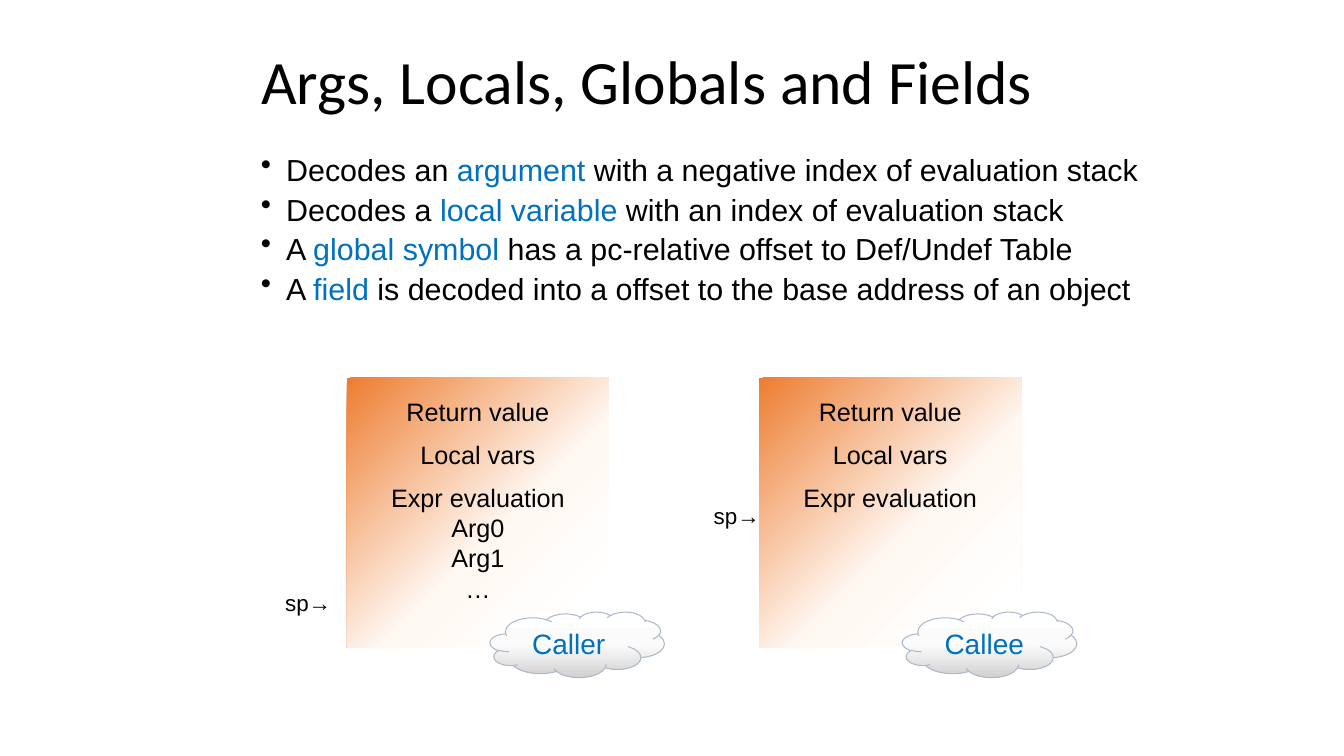
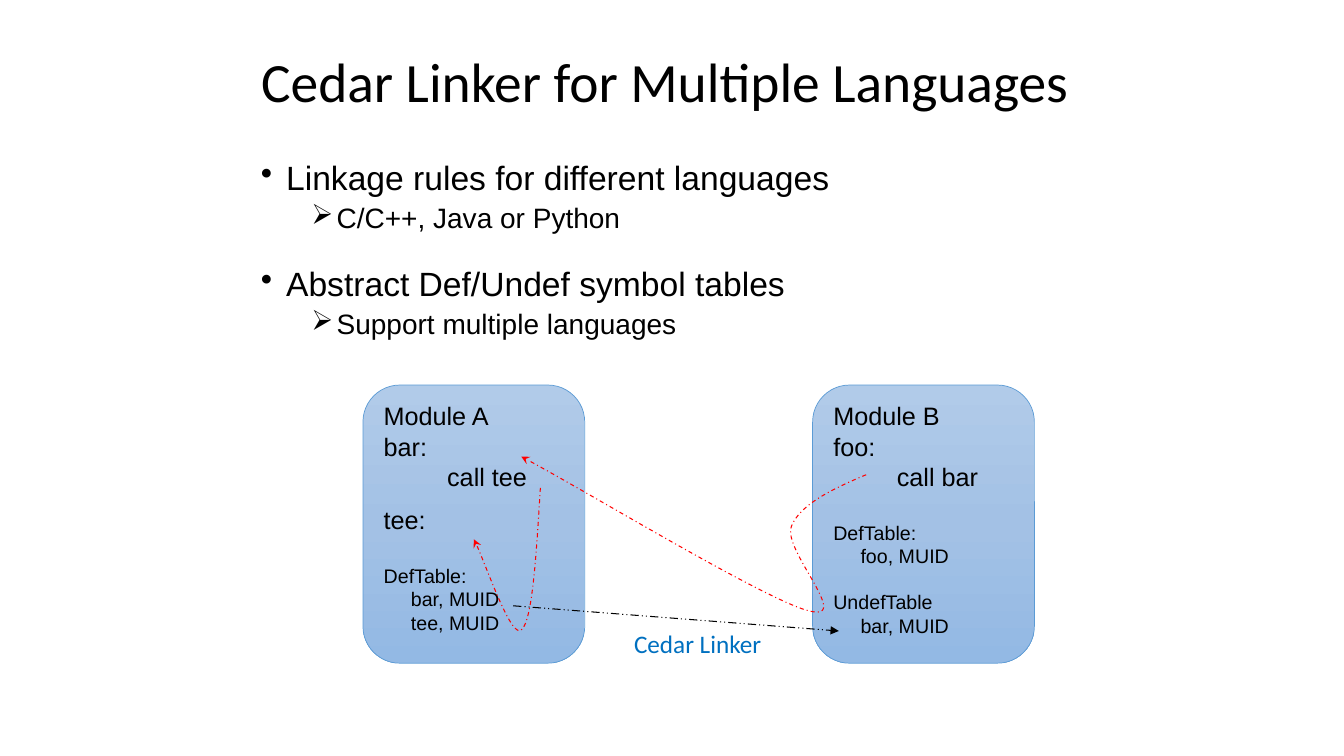
"""Build two slides on symbol decoding and linking across languages."""
import pptx
import pptx.util
import pptx.dml.color
import pptx.enum.dml
import pptx.enum.shapes
import pptx.enum.text
import pptx.oxml
import pptx.oxml.ns
from lxml import etree

HUES = {"ink": "000000", "blue": "0070C0", "red": "FF0000", "edge": "5B9BD5", "mist": "ADB9CA"}
FADES = {
    "stack": ([(0, "FFFFFF"), (11, "FFFFFF"), (43, "FFF8F2"), (100, "ED7D31")],
              '<a:path path="circle"><a:fillToRect l="100000" t="100000"/></a:path>'),
    "cloud": ([(0, "FFFFFF"), (50, "FBFBFB"), (100, "D1D1D1")], '<a:lin ang="5400000"/>'),
    "card": ([(0, "B1CBE9"), (50, "A3C1E5"), (100, "93B9E4")], '<a:lin ang="5400000"/>'),
}

DECODE = {
    "title": ("Args, Locals, Globals and Fields", 44),
    "rows": [
        "Decodes an *argument* with a negative index of evaluation stack",
        "Decodes a *local variable *with an index of evaluation stack",
        "A *global symbol *has a pc-relative offset to Def/Undef Table ",
        "A *field* is decoded into a offset to the base address of an object",
    ],
}
FRAME = [("Return value", 0), ("Local vars", 9.2), ("Expr evaluation", 9.2)]
STACKS = [
    ("Caller", 3.44, FRAME + [("Arg0", 0), ("Arg1", 0), ("\u2026", 0)], (2.73, 5.8)),
    ("Callee", 7.53, FRAME, (6.98, 4.93)),
]
LINK = {
    "title": ("Cedar Linker for Multiple Languages", 39.6),
    "rows": [
        ("Linkage rules for different languages", 0, 10),
        ("C/C++, Java or Python", 1, 5),
        ("Abstract Def/Undef symbol tables", 0, 23.3),
        ("Support multiple languages", 1, 5),
    ],
    "label": "Cedar Linker",
}
CARDS = [
    (8.06, [("Module B", 18, 0, 0), ("foo:", 18, 0, 0), ("call bar", 18, 0, 0.63),
            ("DefTable:", 14, 20.7, 0), ("foo, MUID", 14, 0, 0.27),
            ("UndefTable", 14, 16.1, 0), ("bar, MUID", 14, 0, 0.27)]),
    (3.6, [("Module A", 18, 0, 0), ("bar:", 18, 0, 0), ("call tee", 18, 0, 0.63),
           ("tee:", 18, 9.2, 0), ("DefTable:", 14, 20.7, 0),
           ("bar, MUID", 14, 0, 0.27), ("tee, MUID", 14, 0, 0.27)]),
]
CALLS = [
    [(5.36, 4.84), (5.32, 5.51), (5.28, 6.17), (5.17, 6.25),
     (5.06, 6.34), (4.79, 5.51), (4.7, 5.35)],
    [(8.59, 4.71), (8.26, 4.85), (7.94, 5), (7.85, 5.22), (7.75, 5.45),
     (8.47, 6.18), (8.02, 6.06), (7.58, 5.95), (5.71, 4.81), (5.17, 4.53)],
]

Inches = pptx.util.Inches
Pt = pptx.util.Pt
FORMS = pptx.enum.shapes.MSO_SHAPE
DASHES = pptx.enum.dml.MSO_LINE
ALIGN = pptx.enum.text.PP_ALIGN
NS = pptx.oxml.ns.nsdecls("a")


def hue(name):
    return pptx.dml.color.RGBColor.from_string(HUES[name])


def box(*sides):
    return [Inches(side) for side in sides]


def style(font, size, tint="ink", face="Arial"):
    font.size, font.name = Pt(size), face
    font.color.rgb = hue(tint)


def start(deck, text, size):
    slide = deck.slides.add_slide(deck.slide_layouts[5])
    head = slide.shapes.title
    head.left, head.top, head.width, head.height = box(2.49, 0.36, 8.58, 0.95)
    frame = head.text_frame
    frame.text = text
    frame.auto_size = pptx.enum.text.MSO_AUTO_SIZE.NONE
    frame.vertical_anchor = pptx.enum.text.MSO_ANCHOR.MIDDLE
    para = frame.paragraphs[0]
    para.alignment, para.line_spacing = ALIGN.LEFT, 0.9
    style(para.font, size, face="Calibri")
    return slide


def write(frame, index, text, size, gap=0, indent=0, tint="ink", face="Arial"):
    para = frame.add_paragraph() if index else frame.paragraphs[0]
    for part, words in enumerate(text.split("*")):
        run = para.add_run()
        run.text = words
        if part % 2:
            run.font.color.rgb = hue("blue")
    para.alignment, para.space_before = ALIGN.LEFT, Pt(gap)
    style(para.font, size, tint, face)
    if indent:
        para._p.get_or_add_pPr().set("marL", str(Inches(indent)))
    return para


def bullet(para, mark, spacing):
    para.line_spacing = spacing
    props = para._p.get_or_add_pPr()
    props.set("indent", str(Inches(-0.25)))
    item = pptx.oxml.parse_xml(f'<a:buChar {NS} char="{mark}"/>')
    fill = props.find(pptx.oxml.ns.qn("a:defRPr"))
    if fill is None:
        props.append(item)
    else:
        fill.addprevious(item)


def area(slide, *sides):
    frame = slide.shapes.add_textbox(*box(*sides)).text_frame
    frame.word_wrap = True
    return frame


def panel(slide, form, fade, sides, edge=None, width=0.75):
    shape = slide.shapes.add_shape(form, *box(*sides))
    shape.shadow.inherit = False
    shape.fill.background()
    stops, course = FADES[fade]
    marks = "".join(f'<a:gs pos="{at * 1000}"><a:srgbClr val="{tone}"/></a:gs>' for at, tone in stops)
    blend = pptx.oxml.parse_xml(
        f'<a:gradFill {NS} rotWithShape="1"><a:gsLst>{marks}</a:gsLst>{course}</a:gradFill>')
    props = shape._element.spPr
    props.replace(props.find(pptx.oxml.ns.qn("a:noFill")), blend)
    if edge:
        shape.line.color.rgb, shape.line.width = hue(edge), Pt(width)
    else:
        shape.line.fill.background()
    frame = shape.text_frame
    frame.word_wrap = True
    frame.vertical_anchor = pptx.enum.text.MSO_ANCHOR.TOP
    return frame


def arrow(shape, tint, dash, tip):
    line = shape.line
    line.color.rgb, line.width, line.dash_style = hue(tint), Pt(0.75), dash
    etree.SubElement(line._get_or_add_ln(), pptx.oxml.ns.qn("a:tailEnd")).set("type", tip)


def curve(knots, steps=24):
    dots = [knots[0]]
    for first in range(0, len(knots) - 1, 3):
        ends = knots[first:first + 4]
        for step in range(1, steps + 1):
            t = step / steps
            parts = ((1 - t) ** 3, 3 * t * (1 - t) ** 2, 3 * t * t * (1 - t), t ** 3)
            dots.append(tuple(sum(w * end[axis] for w, end in zip(parts, ends)) for axis in (0, 1)))
    return dots


def call(slide, knots):
    dots = [box(*dot) for dot in curve(knots)]
    maker = slide.shapes.build_freeform(*dots[0])
    maker.add_line_segments(dots[1:], close=False)
    shape = maker.convert_to_shape()
    shape.shadow.inherit = False
    shape.fill.background()
    arrow(shape, "red", DASHES.DASH_DOT, "stealth")


def decode(deck):
    slide = start(deck, *DECODE["title"])
    body = area(slide, 2.49, 1.55, 9.36, 2.08)
    for index, text in enumerate(DECODE["rows"]):
        bullet(write(body, index, text, 21.7, 10, 0.25), "\u2022", 0.7)
    for name, left, rows, spot in STACKS:
        stack = panel(slide, FORMS.RECTANGLE, "stack", (left, 3.75, 2.6, 2.67))
        stack.margin_top = Inches(0.18)
        for index, (text, gap) in enumerate(rows):
            write(stack, index, text, 18, gap).alignment = ALIGN.CENTER
        cloud = panel(slide, FORMS.CLOUD, "cloud", (left + 1.42, 6.07, 1.73, 0.65), "mist")
        cloud.margin_left = Inches(0.18)
        write(cloud, 0, name, 20, tint="blue")
        write(area(slide, *spot, 0.79, 0.31), 0, "sp\u2192", 16)


def link(deck):
    slide = start(deck, *LINK["title"])
    body = area(slide, 2.49, 1.55, 8.74, 2.1)
    for index, (text, level, gap) in enumerate(LINK["rows"]):
        para = write(body, index, text, 24 - 4 * level, gap, 0.25 + 0.5 * level)
        para.level = level
        bullet(para, "\u2022\u27a2"[level], 0.9)
    for left, rows in CARDS:
        card = panel(slide, FORMS.ROUNDED_RECTANGLE, "card", (left, 3.82, 2.2, 2.76), "edge", 0.5)
        for index, row in enumerate(rows):
            write(card, index, *row)
    kind = pptx.enum.shapes.MSO_CONNECTOR.STRAIGHT
    wire = slide.shapes.add_connector(kind, *box(5.09, 6.01, 8.32, 6.26))
    arrow(wire, "ink", DASHES.LONG_DASH_DOT_DOT
          if hasattr(DASHES, "LONG_DASH_DOT_DOT") else DASHES.DASH_DOT_DOT, "triangle")
    etree.SubElement(wire._element.spPr, pptx.oxml.ns.qn("a:effectLst"))
    write(area(slide, 6.19, 6.18, 1.53, 0.4), 0, LINK["label"], 18, tint="blue", face="Calibri")
    for knots in CALLS:
        call(slide, knots)


deck = pptx.Presentation()
deck.slide_width, deck.slide_height = box(13.33, 7.5)
decode(deck)
link(deck)
deck.save("out.pptx")
